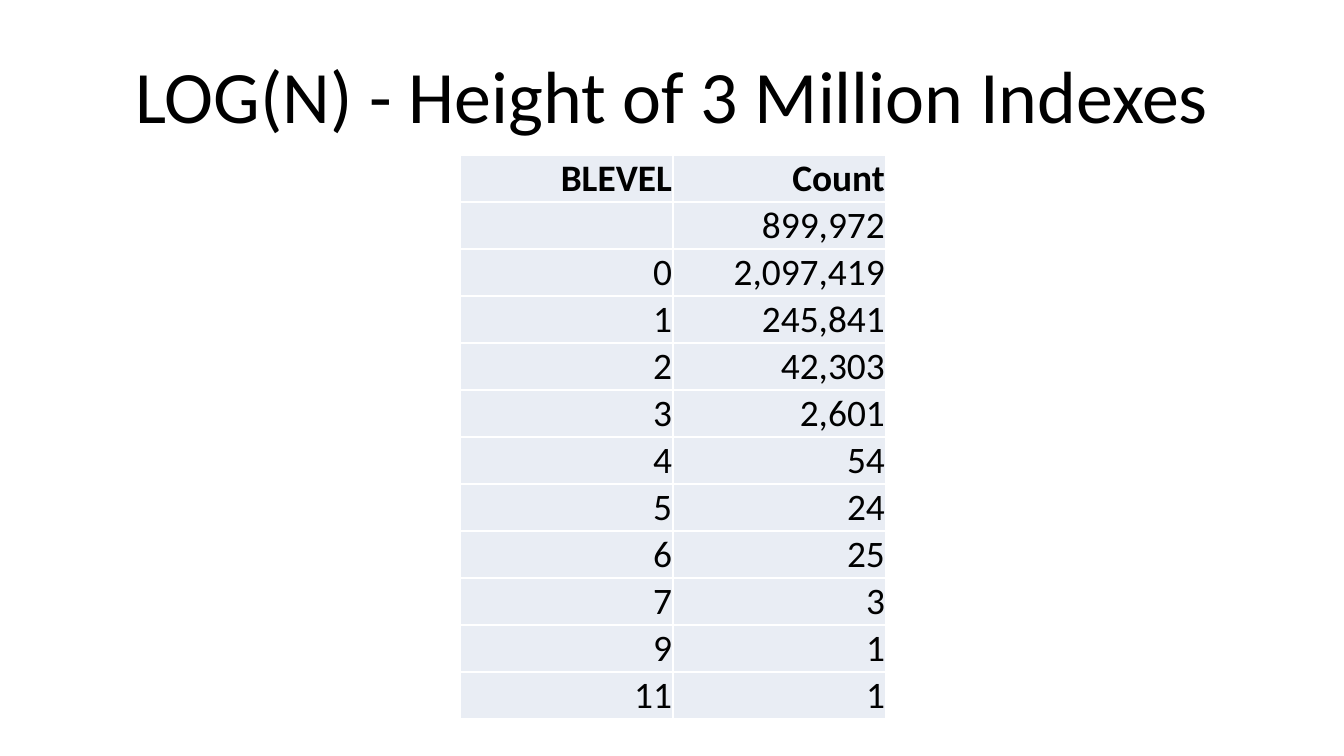
from lxml import etree
from pptx import Presentation
from pptx.dml.color import RGBColor
from pptx.enum.text import MSO_ANCHOR, PP_ALIGN
from pptx.oxml.ns import qn
from pptx.util import Pt

PX = 914400 / 134.4
FONT = "Calibri"
BLACK = RGBColor(0x00, 0x00, 0x00)
WHITE = RGBColor(0xFF, 0xFF, 0xFF)
PALE_BLUE = RGBColor(0xE9, 0xED, 0xF4)
CENTER, RIGHT = PP_ALIGN.CENTER, PP_ALIGN.RIGHT
MIDDLE, BOTTOM = MSO_ANCHOR.MIDDLE, MSO_ANCHOR.BOTTOM
TITLE_ONLY = 5

SLIDE_SIZE = (1344, 756)
TITLE_BOX = (67, 31, 1210, 126)
TABLE_BOX = (460, 155, 426, 564)

TITLE = "LOG(N) - Height of 3 Million Indexes"
ROWS = [
    ("BLEVEL", "Count"),
    ("", "899,972"),
    ("0", "2,097,419"),
    ("1", "245,841"),
    ("2", "42,303"),
    ("3", "2,601"),
    ("4", "54"),
    ("5", "24"),
    ("6", "25"),
    ("7", "3"),
    ("9", "1"),
    ("11", "1"),
]


def emu(px):
    return round(px * PX)


def set_attributes(target, values):
    for name, value in values.items():
        setattr(target, name, value)


def write(para, text, size, align, bold=False):
    para.alignment = align
    if text:
        span = para.add_run()
        span.text = text
        set_attributes(span.font, {"name": FONT, "size": Pt(size), "bold": bold})
        span.font.color.rgb = BLACK


def add_borders(cell, color, width):
    properties = cell._tc.get_or_add_tcPr()
    for index, side in enumerate(("a:lnL", "a:lnR", "a:lnT", "a:lnB")):
        line = etree.Element(qn(side), w=str(Pt(width)))
        fill = etree.SubElement(line, qn("a:solidFill"))
        etree.SubElement(fill, qn("a:srgbClr"), val=str(color))
        # Borders must come before the cell fill
        properties.insert(index, line)


def add_title(page, box, text):
    title = page.shapes.title
    left, top, width, height = map(emu, box)
    set_attributes(title, {"left": left, "top": top, "width": width, "height": height})
    set_attributes(title.text_frame, {"vertical_anchor": MIDDLE, "word_wrap": True})
    write(title.text_frame.paragraphs[0], text, 39.6, CENTER)


def add_count_table(page, box, rows):
    table = page.shapes.add_table(len(rows), len(rows[0]), *map(emu, box)).table
    set_attributes(table, {"first_row": False, "horz_banding": False})
    cell_format = {
        "vertical_anchor": BOTTOM,
        "margin_left": emu(1),
        "margin_right": emu(1),
        "margin_top": emu(1),
        "margin_bottom": 0,
    }
    for row_index, values in enumerate(rows):
        for column_index, value in enumerate(values):
            cell = table.cell(row_index, column_index)
            set_attributes(cell, cell_format)
            cell.fill.solid()
            cell.fill.fore_color.rgb = PALE_BLUE
            add_borders(cell, WHITE, 1)
            # The first row holds the headings
            write(cell.text_frame.paragraphs[0], value, 20, RIGHT, bold=row_index == 0)


def main():
    deck = Presentation()
    deck.slide_width, deck.slide_height = map(emu, SLIDE_SIZE)
    page = deck.slides.add_slide(deck.slide_layouts[TITLE_ONLY])
    add_title(page, TITLE_BOX, TITLE)
    add_count_table(page, TABLE_BOX, ROWS)
    deck.save("out.pptx")


if __name__ == "__main__":
    main()
